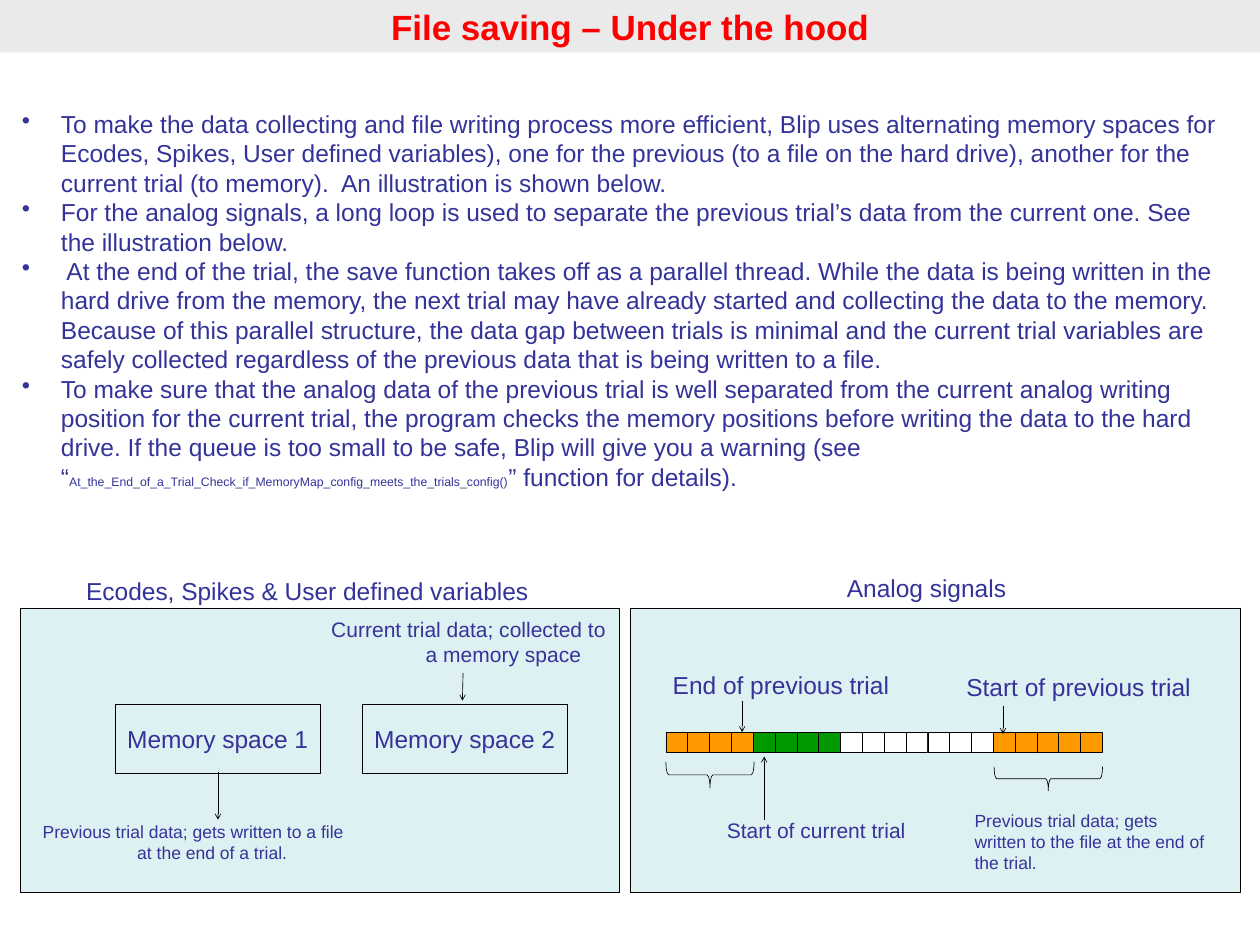
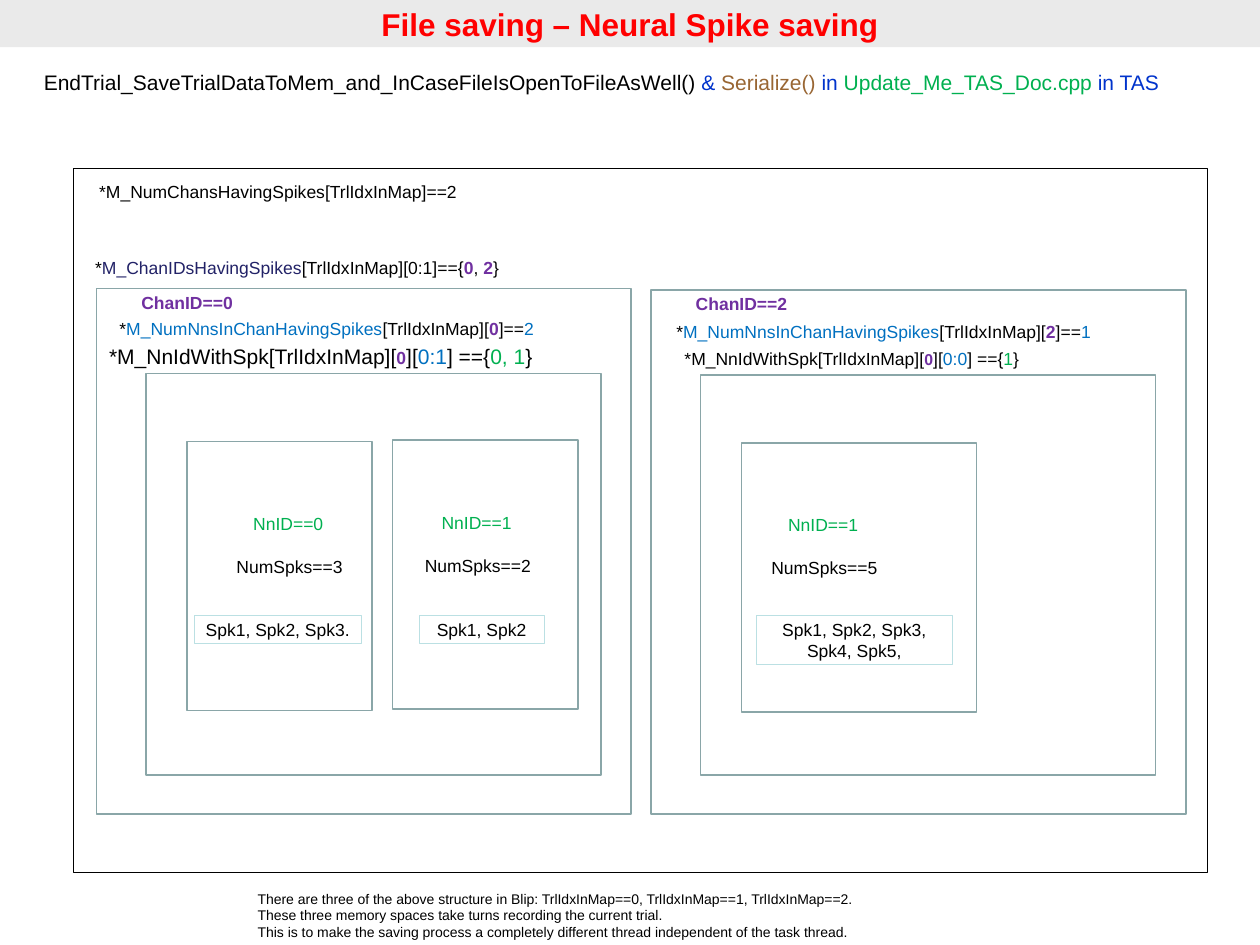
import pptx
import pptx.util
import pptx.dml.color
import pptx.enum.shapes
import pptx.enum.text
import pptx.oxml.ns
import lxml.etree

Inches = pptx.util.Inches
Pt = pptx.util.Pt
RGB = pptx.dml.color.RGBColor
SHAPE = pptx.enum.shapes.MSO_SHAPE
ALIGN = pptx.enum.text.PP_ALIGN
MIDDLE = pptx.enum.text.MSO_ANCHOR.MIDDLE
TOP = pptx.enum.text.MSO_ANCHOR.TOP
qn = pptx.oxml.ns.qn

# Shared look
FONT = "Arial"
BLACK = RGB(0x00, 0x00, 0x00)
WHITE = RGB(0xFF, 0xFF, 0xFF)
RED = RGB(0xFF, 0x00, 0x00)
BAND = RGB(0xEA, 0xEA, 0xEA)
NAVY = RGB(0x33, 0x33, 0x99)
PALE = RGB(0xDE, 0xF1, 0xF2)
GREEN = RGB(0x00, 0x99, 0x00)
ORANGE = RGB(0xFF, 0x99, 0x00)
STEEL = RGB(0x8A, 0xA6, 0xA8)
AQUA = RGB(0xBB, 0xE0, 0xE3)
BLUE = RGB(0x00, 0x70, 0xC0)
PURPLE = RGB(0x70, 0x30, 0xA0)
LEAF = RGB(0x00, 0xB0, 0x50)
INDIGO = RGB(0x22, 0x22, 0x67)
ROYAL = RGB(0x00, 0x33, 0xCC)
BROWN = RGB(0x99, 0x66, 0x33)


def style(font, size, color, bold=False):
    font.name = FONT
    font.size = Pt(size)
    font.color.rgb = color
    font.bold = bold


def fill_par(par, parts, size):
    """Each part is (text, colour) or (text, colour, size); purple is bold."""
    for text, color, *own in parts:
        run = par.add_run()
        run.text = text
        style(run.font, own[0] if own else size, color, color == PURPLE)


def add_text(slide, left, top, width, height, parts, size,
             align=ALIGN.CENTER, wrap=True, hang=0):
    box = slide.shapes.add_textbox(
        Inches(left), Inches(top), Inches(width), Inches(height))
    box.text_frame.word_wrap = wrap
    par = box.text_frame.paragraphs[0]
    par.alignment = align
    if hang:
        indent(par, hang)
    fill_par(par, parts, size)
    return box


def indent(par, hang, bullet=None):
    props = par._p.get_or_add_pPr()
    props.set("marL", str(Inches(hang)))
    props.set("indent", str(-Inches(hang)))
    if bullet:
        lxml.etree.SubElement(props, qn("a:buChar")).set("char", bullet)


def add_box(slide, left, top, width, height, fill=None, line=BLACK,
            weight=0.75, kind=SHAPE.RECTANGLE):
    box = slide.shapes.add_shape(
        kind, Inches(left), Inches(top), Inches(width), Inches(height))
    box.shadow.inherit = False
    if fill is None:
        box.fill.background()
    else:
        box.fill.solid()
        box.fill.fore_color.rgb = fill
    box.line.color.rgb = line
    box.line.width = Pt(weight)
    return box


def label_box(box, text, size, color, anchor=MIDDLE):
    frame = box.text_frame
    frame.word_wrap = True
    frame.vertical_anchor = anchor
    frame.text = text
    par = frame.paragraphs[0]
    par.alignment = ALIGN.CENTER
    style(par.runs[0].font, size, color)


def add_arrow(slide, x1, y1, x2, y2):
    arrow = slide.shapes.add_connector(
        pptx.enum.shapes.MSO_CONNECTOR.STRAIGHT,
        Inches(x1), Inches(y1), Inches(x2), Inches(y2))
    arrow.line.color.rgb = BLACK
    arrow.line.width = Pt(0.75)
    line = arrow.line._get_or_add_ln()
    lxml.etree.SubElement(line, qn("a:tailEnd")).set("type", "arrow")
    lxml.etree.SubElement(arrow._element.spPr, qn("a:effectLst"))


def add_slide(deck, title, size, height):
    """A slide whose title is a grey band across the top."""
    slide = deck.slides.add_slide(deck.slide_layouts[5])
    band = slide.shapes.title
    band.left, band.top = 0, 0
    band.width, band.height = deck.slide_width, Inches(height)
    band.fill.solid()
    band.fill.fore_color.rgb = BAND
    frame = band.text_frame
    frame.text = title
    frame.vertical_anchor = MIDDLE
    frame.paragraphs[0].alignment = ALIGN.CENTER
    style(frame.paragraphs[0].runs[0].font, size, RED, True)
    return slide


# Slide 1: how saving works
FUNC = "At_the_End_of_a_Trial_Check_if_MemoryMap_config_meets_the_trials_config()"
POINTS = [
    [("To make the data collecting and file writing process more efficient, "
      "Blip uses alternating memory spaces for Ecodes, Spikes, User defined "
      "variables), one for the previous (to a file on the hard drive), another "
      "for the current trial (to memory).  An illustration is shown below.", NAVY)],
    [("For the analog signals, a long loop is used to separate the previous "
      "trial’s data from the current one. See the illustration below.", NAVY)],
    [(" At the end of the trial, the save function takes off as a parallel "
      "thread. While the data is being written in the hard drive from the "
      "memory, the next trial may have already started and collecting the data "
      "to the memory. Because of this parallel structure, the data gap between "
      "trials is minimal and the current trial variables are safely collected "
      "regardless of the previous data that is being written to a file.", NAVY)],
    [("To make sure that the analog data of the previous trial is well separated "
      "from the current analog writing position for the current trial, the "
      "program checks the memory positions before writing the data to the hard "
      "drive. If the queue is too small to be safe, Blip will give you a "
      "warning (see “", NAVY),
     (FUNC, NAVY, 14), ("” function for details).", NAVY)],
]


def add_points(slide, left, top, width, height):
    box = slide.shapes.add_textbox(
        Inches(left), Inches(top), Inches(width), Inches(height))
    frame = box.text_frame
    frame.word_wrap = True
    for i, parts in enumerate(POINTS):
        par = frame.add_paragraph() if i else frame.paragraphs[0]
        indent(par, 0.62, "•")
        fill_par(par, parts, 28)


def add_notes(slide, left, top, notes):
    """Navy labels placed from the corner of a panel."""
    for x, y, width, height, text, size, align, hang in notes:
        add_text(slide, left + x, top + y, width, height, [(text, NAVY)],
                 size, align, hang=hang)


def memory_panel(slide, left, top):
    add_box(slide, left, top, 9.5, 4.51, PALE)
    for i in range(2):
        box = add_box(slide, left + 1.5 + 3.92 * i, top + 1.53, 3.25, 1.09)
        label_box(box, f"Memory space {i + 1}", 28, NAVY)
    add_arrow(slide, left + 3.13, top + 2.61, left + 3.13, top + 3.36)
    add_arrow(slide, left + 7.02, top + 1.03, left + 7.01, top + 1.47)
    add_notes(slide, left, top, [
        (0.75, -0.56, 7.59, 0.57, "Ecodes, Spikes & User defined variables",
         28, ALIGN.CENTER, 0),
        (4.83, 0.08, 4.67, 0.9, "Current trial data; collected to a memory space",
         24, ALIGN.LEFT, 1.5),
        (0.25, 3.33, 5.17, 0.77,
         "Previous trial data; gets written to a file at the end of a trial.",
         20, ALIGN.LEFT, 1.5),
    ])


def analog_panel(slide, left, top):
    add_box(slide, left, top, 9.69, 4.51, PALE)
    # Loop of memory cells
    cells = [ORANGE] * 4 + [GREEN] * 4 + [WHITE] * 7 + [ORANGE] * 5
    step = 6.93 / len(cells)
    for i, color in enumerate(cells):
        add_box(slide, left + 0.57 + step * i, top + 1.97, step, 0.33, color)
    for x, y, width, height in [(1.06, 1.95, 0.42, 1.4), (6.45, 1.85, 0.38, 1.72)]:
        brace = add_box(slide, left + x, top + y, width, height,
                        kind=SHAPE.LEFT_BRACE)
        brace.rotation = 270
        brace.adjustments[0] = 0.11
    for x, start, end in [(1.78, 1.47, 1.97), (5.92, 1.56, 2), (2.13, 3.36, 2.36)]:
        add_arrow(slide, left + x, top + start, left + x, top + end)
    add_notes(slide, left, top, [
        (1.92, -0.61, 5.57, 0.57, "Analog signals", 28, ALIGN.CENTER, 0),
        (0.58, 0.94, 4, 0.57, "End of previous trial", 28, ALIGN.LEFT, 0),
        (5.24, 0.96, 3.92, 0.57, "Start of previous trial", 28, ALIGN.LEFT, 0),
        (1.44, 3.28, 3.04, 0.5, "Start of current trial", 24, ALIGN.LEFT, 0),
        (5.37, 3.16, 3.92, 1.1,
         "Previous trial data; gets written to the file at the end of the trial.",
         20, ALIGN.LEFT, 0),
    ])


def hood_slide(deck):
    slide = add_slide(deck, "File saving – Under the hood", 40, 0.83)
    add_points(slide, 0.25, 1.68, 19.33, 6.2)
    memory_panel(slide, 0.33, 9.65)
    analog_panel(slide, 10, 9.65)


# Slide 2: nested spike structure
def neuron(slide, left, top, width, ident, count, mid, spikes):
    """mid is the label centre; spikes is (text, offset, width, height)."""
    add_box(slide, left, top, width, 4.27, None, STEEL, 2)
    x = left + mid - 1.15
    add_text(slide, x, top + 1.08, 2.29, 0.44, [(f"NnID=={ident}", LEAF)], 20)
    add_text(slide, x + 0.02, top + 1.77, 2.29, 0.44,
             [(f"NumSpks=={count}", BLACK)], 20)
    text, shift, span, height = spikes
    box = add_box(slide, left + shift, 9.77, span, height, None, AQUA)
    label_box(box, text, 20, BLACK, TOP)


def channel(slide, left, top, ident, total, num_at, list_at, span, size, index, found):
    """num_at and list_at are offsets of the two code lines."""
    add_box(slide, left, top, 8.49, 12.92 - top, None, STEEL, 2)
    add_box(slide, left + 0.79, top + 1.35, 7.22, 10.95 - top, None, STEEL, 2)
    add_text(slide, left + 0.26, top, 2.36, 0.44, [(f"ChanID=={ident}", PURPLE)], 20)
    add_text(slide, left + num_at[0], top + num_at[1], 6.83, 0.44, [
        ("*", BLACK), ("M_NumNnsInChanHavingSpikes", BLUE),
        ("[TrlIdxInMap][", BLACK), (ident, PURPLE), ("]==", BLACK), (total, BLUE),
    ], 20, wrap=False)
    add_text(slide, left + list_at[0], top + list_at[1], span, 0.5, [
        ("*M_NnIdWithSpk[TrlIdxInMap][", BLACK), ("0", PURPLE, 20 if size > 20 else 18),
        ("][", BLACK), (index, BLUE), ("] =={", BLACK), (found, LEAF), ("}", BLACK),
    ], size, wrap=False)


def spike_slide(deck):
    slide = add_slide(deck, "File saving – Neural Spike saving", 36, 0.75)
    add_text(slide, 0.5, 1.06, 18.09, 0.5, [
        ("EndTrial_SaveTrialDataToMem_and_InCaseFileIsOpenToFileAsWell() ", BLACK),
        ("& ", ROYAL), ("Serialize() ", BROWN), ("in ", ROYAL),
        ("Update_Me_TAS_Doc.cpp", LEAF), (" in TAS", ROYAL)], 24, wrap=False)
    add_box(slide, 1.17, 2.67, 18, 11.17)
    add_text(slide, 1.45, 2.83, 5.93, 0.44,
             [("*M_NumChansHavingSpikes[TrlIdxInMap]==2", BLACK)], 20, wrap=False)
    add_text(slide, 1.39, 4.03, 6.65, 0.44, [
        ("*", BLACK), ("M_ChanIDsHavingSpikes", INDIGO),
        ("[TrlIdxInMap][0:1]=={", BLACK), ("0", PURPLE), (", ", BLACK),
        ("2", PURPLE), ("}", BLACK)], 20)
    # Channels and their neurons
    channel(slide, 1.53, 4.58, "0", "2", (0.24, 0.42), (0.07, 0.83), 6.98, 24,
            "0:1", "0, 1")
    channel(slide, 10.33, 4.6, "2", "1", (0.28, 0.45), (0.42, 0.88), 5.54, 20,
            "0:0", "1")
    neuron(slide, 2.97, 7.01, 2.94, 0, 3, 1.61, ("Spk1, Spk2, Spk3.", 0.11, 2.66, 0.44))
    neuron(slide, 6.23, 6.99, 2.94, 1, 2, 1.34, ("Spk1, Spk2", 0.42, 1.99, 0.44))
    neuron(slide, 11.77, 7.03, 3.73, 1, 5, 1.3,
           ("Spk1, Spk2, Spk3, Spk4, Spk5,", 0.23, 3.12, 0.77))
    # Closing remarks
    lines = [
        "There are three of the above structure in Blip: "
        "TrlIdxInMap==0, TrlIdxInMap==1, TrlIdxInMap==2.",
        "These three memory spaces take turns recording the current trial.",
        "This is to make the saving process a completely different thread "
        "independent of the task thread."]
    box = add_text(slide, 3.99, 14.08, 9.84, 0.91, [(lines[0], BLACK)], 16, ALIGN.LEFT)
    for line in lines[1:]:
        fill_par(box.text_frame.add_paragraph(), [(line, BLACK)], 16)


def main():
    deck = pptx.Presentation()
    deck.slide_width, deck.slide_height = Inches(20), Inches(15)
    hood_slide(deck)
    spike_slide(deck)
    deck.save("out.pptx")


if __name__ == "__main__":
    main()
